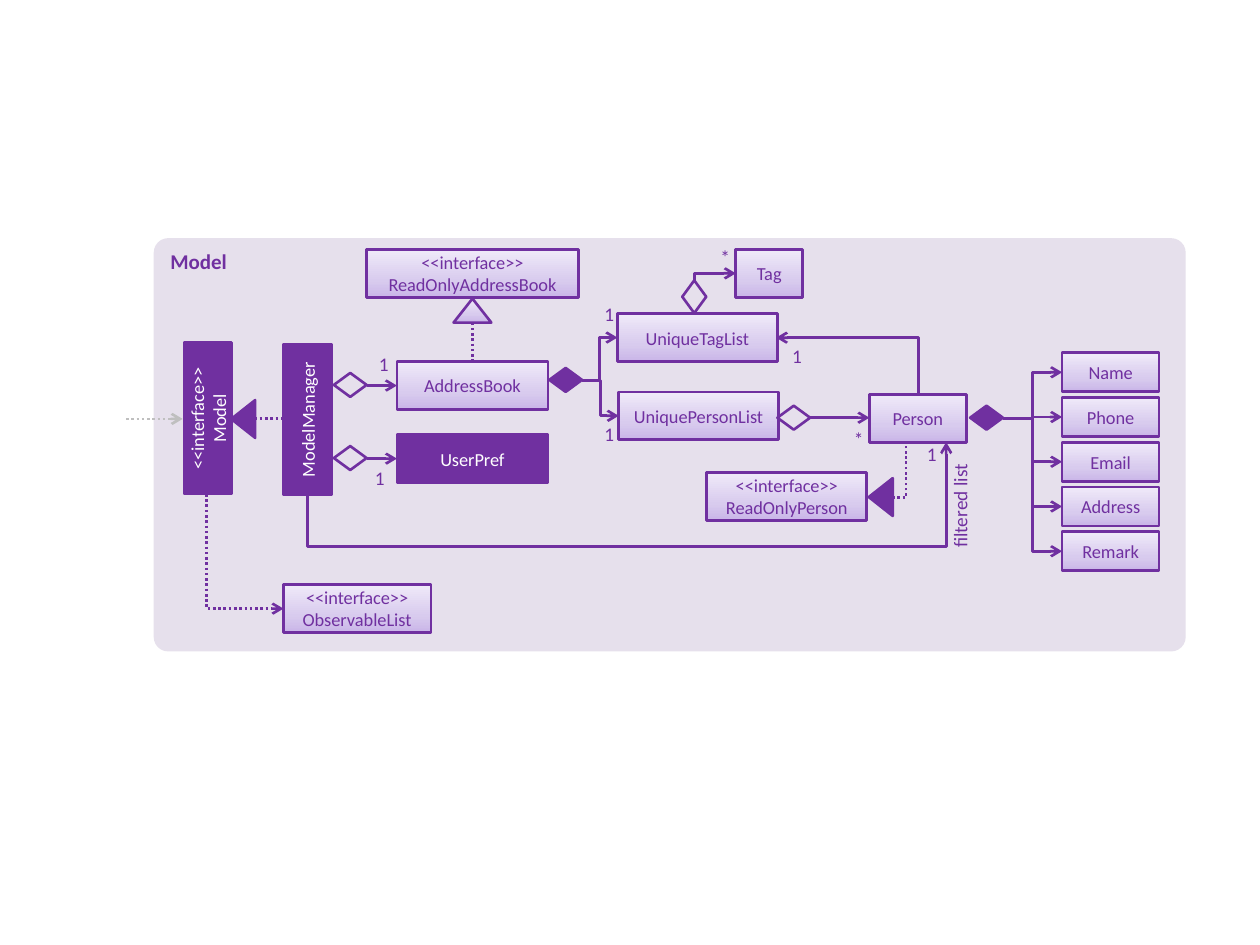
"""Build the class diagram of the Model component on a grid of 1000 by 750 cells."""
import copy
import dataclasses
import typing

import pptx
import pptx.dml.color
import pptx.enum.dml
import pptx.enum.shapes
import pptx.enum.text
import pptx.oxml
import pptx.oxml.ns
import pptx.util

SHAPE = pptx.enum.shapes.MSO_SHAPE
ALIGN = pptx.enum.text.PP_ALIGN
ANCHOR = pptx.enum.text.MSO_ANCHOR
COLUMNS, ROWS = 1000, 750
Point = tuple[float, float]


@dataclasses.dataclass(frozen=True)
class Theme:
    font: str = "Calibri"
    main: str = "7030A0"
    panel: str = "E6E0EC"
    outside: str = "BFBFBF"
    light: str = "FFFFFF"
    shades: tuple = ((0, "C9B5E8"), (0.35, "D8CBEE"), (1, "F0EAF9"))
    title_size: float = 12
    box_size: float = 10.5
    label_size: float = 11
    line_width: float = 1.5


class Block(typing.NamedTuple):
    column: float
    row: float
    columns: float
    rows: float
    text: str = ""
    fill: str = "shaded"
    form: SHAPE = SHAPE.RECTANGLE
    rotation: float = 0


class Link(typing.NamedTuple):
    start: Point
    end: Point
    route: str = "straightConnector1"
    turned: bool = False
    dotted: bool = False
    arrow: bool = True
    color: str = "main"
    bends: tuple = ()


class Label(typing.NamedTuple):
    column: float
    row: float
    text: str


THEME = Theme()
BENT, CORNER, LOOP = "bentConnector3", "bentConnector2", "bentConnector4"
FIELDS = ("Name", "Phone", "Email", "Address", "Remark")
FIELD_TOP, FIELD_PITCH, FIELD_ROWS = 280, 35.5, 31
BOX_ROWS = 38

boxes = [
    Block(105, 313, 120, BOX_ROWS, "<<interface>>\nModel", "solid", rotation=270),
    Block(184, 314, 120, BOX_ROWS, "ModelManager", "solid", rotation=270),
    Block(315, 345, 120, BOX_ROWS, "UserPref", "solid"),
    Block(315, 287, 120, BOX_ROWS, "AddressBook"),
    Block(491, 311, 127, BOX_ROWS, "UniquePersonList"),
    Block(490, 249, 127, BOX_ROWS, "UniqueTagList"),
    Block(690, 313, 77, BOX_ROWS, "Person"),
    Block(584, 198, 53, BOX_ROWS, "Tag"),
    Block(561, 375, 127, BOX_ROWS, "<<interface>>\vReadOnlyPerson"),
    Block(291, 198, 168, BOX_ROWS, "<<interface>>\vReadOnlyAddressBook"),
    Block(225, 464, 117, BOX_ROWS, "<<interface>>\vObservableList"),
] + [Block(843, FIELD_TOP + i * FIELD_PITCH, 77, FIELD_ROWS, field)
     for i, field in enumerate(FIELDS)]

diamonds = [
    Block(column, row, 26, 19, "", fill, SHAPE.FLOWCHART_DECISION, rotation)
    for column, row, fill, rotation in (
        (265, 354, "none", 0), (265, 296, "none", 0), (436, 292, "solid", 0),
        (617, 322, "none", 0), (538, 226, "none", 270), (770, 322, "solid", 0))
]
triangles = [
    Block(column, row, 30, 19, "", fill, SHAPE.ISOSCELES_TRIANGLE, rotation)
    for column, row, fill, rotation in (
        (178, 323, "solid", 270), (684, 385, "solid", 270), (360, 237, "shaded", 0))
]

links = [
    Link((708, 395), (719, 349), CORNER, dotted=True, arrow=False),
    Link((244, 392), (751, 351), LOOP, turned=True, bends=(-1.02, 1)),
    Link((291, 364), (315, 364)),
    Link((291, 306), (315, 306)),
    Link((100, 332.5), (145, 332.5), dotted=True, color="outside"),
    Link((202, 332), (226, 332), dotted=True, arrow=False),
    Link((462, 302), (491, 330), BENT),
    Link((462, 302), (490, 268), BENT),
    Link((643, 331.5), (690, 331.5)),
    Link((551, 223), (584, 217), CORNER, turned=True),
    Link((375, 256), (375, 288), dotted=True, arrow=False),
    Link((164, 392), (225, 483), CORNER, turned=True, dotted=True),
    Link((729, 313), (616, 268), CORNER, turned=True),
] + [Link((796, 332), (843, FIELD_TOP + i * FIELD_PITCH + FIELD_ROWS / 2), BENT)
     for i in range(len(FIELDS))]

counts = [
    Label(473, 240, "1"), Label(473, 335, "1"), Label(622, 273, "1"),
    Label(565, 195, "*"), Label(671, 339, "*"), Label(294, 280, "1"),
    Label(291, 370, "1"), Label(729, 351, "1"),
]

deck = pptx.Presentation()
deck.slide_width, deck.slide_height = pptx.util.Inches(10), pptx.util.Inches(7.5)
slide = deck.slides.add_slide(deck.slide_layouts[6])


def across(columns: float) -> int:
    """Return the width of a number of grid columns."""
    return round(deck.slide_width * columns / COLUMNS)


def down(rows: float) -> int:
    """Return the height of a number of grid rows."""
    return round(deck.slide_height * rows / ROWS)


def rgb(color: str) -> pptx.dml.color.RGBColor:
    """Return a colour from its hexadecimal form."""
    return pptx.dml.color.RGBColor.from_string(color)


def write(frame, text: str, size: float, color: str, align: ALIGN, bold: bool = False) -> None:
    """Fill a text frame with evenly styled paragraphs."""
    frame.word_wrap = True
    frame.text = text
    for paragraph in frame.paragraphs:
        paragraph.alignment = align
        paragraph.font.name, paragraph.font.size = THEME.font, pptx.util.Pt(size)
        paragraph.font.bold = bold
        paragraph.font.color.rgb = rgb(color)


def shade(shape) -> None:
    """Give a shape the three-stop vertical gradient."""
    shape.fill.gradient()
    shape.fill.gradient_angle = 90
    stops = next(shape._element.iter(pptx.oxml.ns.qn("a:gsLst")))
    stops.append(copy.deepcopy(stops[0]))
    for stop, (position, color) in zip(shape.fill.gradient_stops, THEME.shades):
        stop.position, stop.color.rgb = position, rgb(color)


def draw_block(block: Block) -> None:
    """Draw a class box or a relation mark."""
    shape = slide.shapes.add_shape(block.form, across(block.column), down(block.row),
                                   across(block.columns), down(block.rows))
    shape.rotation = block.rotation
    shape.shadow.inherit = False
    shape.line.color.rgb, shape.line.width = rgb(THEME.main), pptx.util.Pt(THEME.line_width)
    if block.fill == "shaded":
        shade(shape)
    elif block.fill == "solid":
        shape.fill.solid()
        shape.fill.fore_color.rgb = rgb(THEME.main)
    else:
        shape.fill.background()
    if block.text:
        ink = THEME.light if block.fill == "solid" else THEME.main
        write(shape.text_frame, block.text, THEME.box_size, ink, ALIGN.CENTER)


def quarter_back(point: Point, center: Point) -> Point:
    """Turn a point a quarter anticlockwise about a center."""
    return center[0] + point[1] - center[1], center[1] - point[0] + center[0]


def draw_link(link: Link) -> None:
    """Draw a connector; a turned one leaves its start vertically."""
    start, end = link.start, link.end
    if link.turned:
        center = ((start[0] + end[0]) / 2, (start[1] + end[1]) / 2)
        start, end = quarter_back(start, center), quarter_back(end, center)
    connector = slide.shapes.add_connector(
        pptx.enum.shapes.MSO_CONNECTOR.ELBOW, across(start[0]), down(start[1]),
        across(end[0]), down(end[1]))
    properties = connector._element.spPr
    if link.turned:
        properties.xfrm.set("rot", "5400000")
    geometry = properties.find(pptx.oxml.ns.qn("a:prstGeom"))
    geometry.set("prst", link.route)
    for number, bend in enumerate(link.bends, 1):
        guide = pptx.oxml.parse_xml(f'<a:gd {pptx.oxml.ns.nsdecls("a")} name="adj{number}" '
                                    f'fmla="val {round(bend * 100000)}"/>')
        geometry.find(pptx.oxml.ns.qn("a:avLst")).append(guide)
    connector.line.color.rgb = rgb(getattr(THEME, link.color))
    connector.line.width = pptx.util.Pt(THEME.line_width)
    if link.dotted:
        connector.line.dash_style = pptx.enum.dml.MSO_LINE.ROUND_DOT
    if link.arrow:
        connector.line._get_or_add_ln().append(pptx.oxml.parse_xml(
            f'<a:tailEnd {pptx.oxml.ns.nsdecls("a")} type="arrow"/>'))
    properties.append(pptx.oxml.parse_xml(f'<a:effectLst {pptx.oxml.ns.nsdecls("a")}/>'))


def draw_panel() -> None:
    """Draw the titled background of the component."""
    panel = slide.shapes.add_shape(SHAPE.ROUNDED_RECTANGLE, across(122), down(189),
                                   across(819), down(328))
    panel.adjustments[0] = 0.035
    panel.shadow.inherit = False
    panel.fill.solid()
    panel.fill.fore_color.rgb = rgb(THEME.panel)
    panel.line.fill.background()
    panel.text_frame.vertical_anchor = ANCHOR.TOP
    write(panel.text_frame, "Model", THEME.title_size, THEME.main, ALIGN.LEFT, bold=True)


def draw_count(label: Label) -> None:
    """Write the multiplicity at one end of a relation."""
    frame = slide.shapes.add_textbox(across(label.column), down(label.row),
                                     across(21), down(20)).text_frame
    frame.margin_left = frame.margin_right = frame.margin_top = frame.margin_bottom = 0
    write(frame, label.text, THEME.label_size, THEME.main, ALIGN.CENTER)


draw_panel()
for relation in links:
    draw_link(relation)
for part in boxes + diamonds + triangles:
    draw_block(part)
for count in counts:
    draw_count(count)
role = slide.shapes.add_textbox(across(714), down(392), across(96), down(29))
role.rotation = 270
write(role.text_frame, "filtered list", THEME.label_size, THEME.main, ALIGN.RIGHT)
deck.save("out.pptx")
